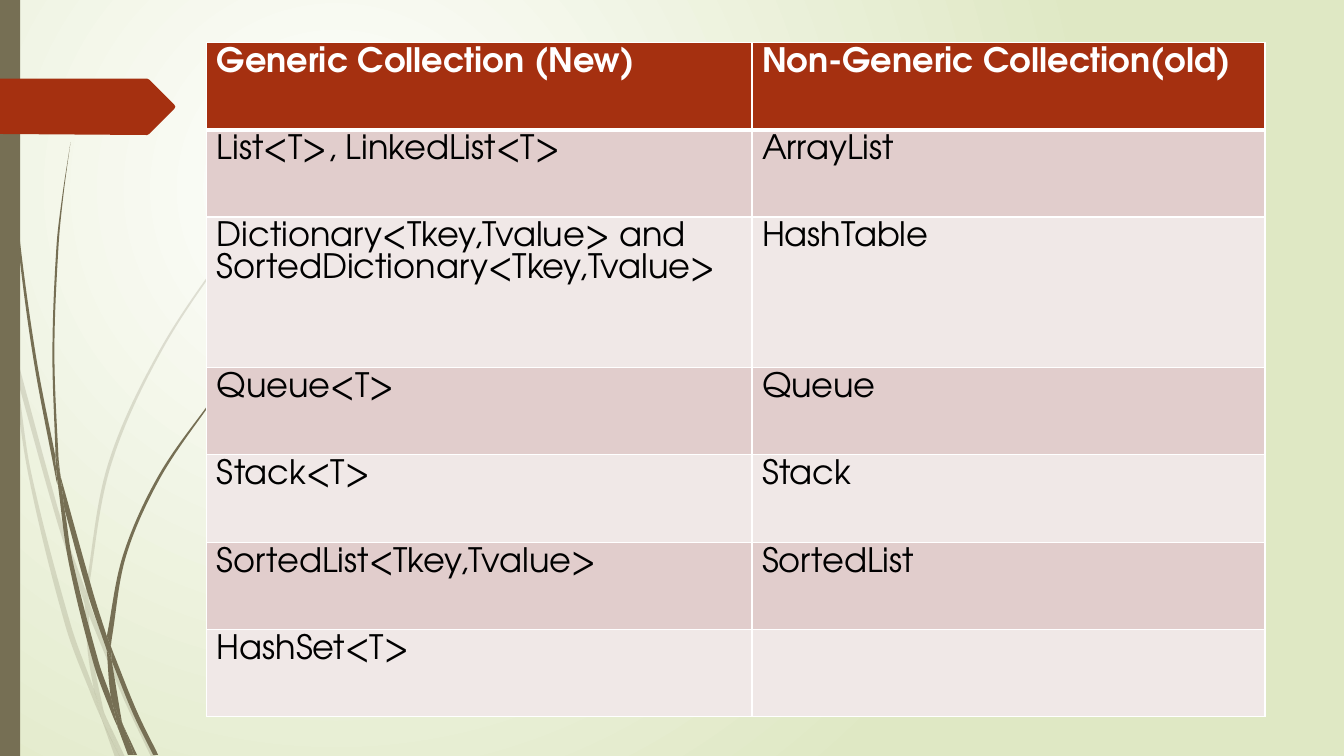
"""Build a slide comparing generic and non-generic collections."""
from math import dist

from lxml.etree import SubElement as Sub
from pptx import Presentation
from pptx.dml.color import RGBColor as Rgb
from pptx.enum.shapes import MSO_SHAPE as Kind
from pptx.oxml import parse_xml
from pptx.oxml.ns import nsdecls, qn
from pptx.util import Cm, Pt

HUE = {"white": "FFFFFF", "black": "000000", "green": "DFE8C4",
       "olive": "766F54", "rust": "A53010", "rose": "E1CDCC", "pale": "F0E8E7"}
FONT = "TeX Gyre Adventor"
UNIT = Cm(0.0254)

ROWS = [
    ("Generic Collection (New)", "Non-Generic Collection(old)"),
    ("List<T>, LinkedList<T>", "ArrayList"),
    ("Dictionary<Tkey,Tvalue> and SortedDictionary<Tkey,Tvalue>", "HashTable"),
    ("Queue<T>", "Queue"),
    ("Stack<T>", "Stack"),
    ("SortedList<Tkey,Tvalue>", "SortedList"),
    ("HashSet<T>", ""),
]
WIDTHS = (13.74, 12.93)
HEIGHTS = (2.2, 2.2, 3.79, 2.2, 2.2, 2.2, 2.2)

FAINT = [
    [[(9, 322), (0, 282)], [(0, 299)], [(10, 344), (11, 350)]],
    [[(17, 376)], [(58, 522), (84, 599)], [(85, 586)], [(62, 520), (14, 345)]],
    [[(88, 610)], [(123, 694), (150, 751)], [(155, 751)],
     [(127, 692), (92, 607), (88, 596)]],
    [[(119, 751)], [(124, 751)], [(105, 711)]],
    [[(28, 470), (65, 621), (92, 693), (101, 714)], [(99, 707), (93, 683)],
     [(70, 619), (31, 469), (17, 376), (11, 350)]],
    [[(87, 646), (93, 683), (96, 692), (105, 711)],
     [(103, 706), (91, 646), (88, 610), (88, 608)], [(84, 599)]],
    [[(289, 175), (268, 197), (228, 244), (158, 348), (107, 461), (85, 584),
      (85, 586)], [(88, 596)],
     [(88, 584), (110, 462), (160, 349), (229, 245), (268, 198), (290, 175),
      (312, 154)], [(312, 153)]],
    [[(114, 751)], [(119, 751)], [(101, 714)]],
    [[(88, 610)], [(88, 596)], [(85, 586)], [(84, 599)], [(88, 608)]],
    [[(99, 707), (101, 714), (119, 751)], [(105, 711)],
     [(96, 692), (93, 683)]],
]
DARK = [
    [[(4, 48), (7, 110), (17, 233), (33, 355), (56, 477), (57, 481)],
     [(55, 457), (55, 453)],
     [(36, 355), (19, 232), (8, 109), (5, 48), (4, 0)], [(3, 0)]],
    [[(64, 505)], [(88, 592), (106, 645)], [(106, 633), (106, 631)],
     [(93, 590), (60, 472)]],
    [[(111, 656)], [(132, 708), (152, 749)], [(157, 749)],
     [(136, 706), (113, 649), (110, 641)]],
    [[(68, 557), (93, 659), (111, 708), (117, 722)], [(116, 717), (110, 691)],
     [(98, 657), (72, 556), (64, 505), (57, 477)]],
    [[(62, 193), (56, 245), (52, 349), (55, 449)], [(60, 472)],
     [(58, 453), (54, 349), (58, 245), (63, 193), (70, 141)]],
    [[(133, 749)], [(136, 749)], [(122, 719)]],
    [[(55, 453)], [(57, 477), (64, 505)], [(60, 472)], [(55, 449)]],
    [[(245, 358), (231, 373), (204, 405), (156, 474), (122, 551), (106, 631)],
     [(110, 641)],
     [(111, 633), (125, 552), (158, 476), (205, 406), (231, 374), (245, 359),
      (261, 344)], [(260, 344)]],
    [[(127, 749)], [(131, 749)], [(117, 722)]],
    [[(110, 691), (116, 706), (122, 719)], [(121, 716), (111, 656)],
     [(109, 651), (106, 645)]],
    [[(109, 651), (111, 656)], [(110, 641)], [(106, 631)],
     [(106, 633), (106, 645)]],
    [[(116, 717), (117, 722)], [(130, 749)], [(133, 749)],
     [(122, 719), (116, 706), (110, 691)]],
]
TAG = [(0, 78), (146, 78), (148, 79), (173, 104), (174, 106), (173, 108),
       (148, 133), (146, 134), (0, 133)]


def tint(name):
    """Return a named colour."""
    return Rgb.from_string(HUE[name])


def paint(shape, name):
    """Give a shape a plain fill without line or shadow."""
    shape.shadow.inherit = False
    shape.fill.solid()
    shape.fill.fore_color.rgb = tint(name)
    shape.line.fill.background()


def smooth(edge):
    """Return two handles and an end for each curve along an edge."""
    last = len(edge) - 1
    gaps = [dist(a, b) for a, b in zip(edge, edge[1:])]

    def handle(i, reach):
        low, high = max(i - 1, 0), min(i + 1, last)
        span = sum(gaps[low:high])
        return tuple(p + reach * (b - a) / span
                     for p, a, b in zip(edge[i], edge[low], edge[high]))

    return [spot for i, gap in enumerate(gaps)
            for spot in (handle(i, gap / 3), handle(i + 1, -gap / 3),
                         edge[i + 1])]


def outline(shapes, points, name):
    """Draw a closed outline."""
    spots = [(x * UNIT, y * UNIT) for x, y in points]
    pen = shapes.build_freeform(*spots[0])
    pen.add_line_segments(spots[1:], close=True)
    shape = pen.convert_to_shape()
    paint(shape, name)
    return shape


def bend(shape):
    """Turn each three lines of an outline into one curve."""
    lines = list(shape.element.iter(qn("a:lnTo")))
    for i in range(0, len(lines) - 2, 3):
        curve = parse_xml(f'<a:cubicBezTo {nsdecls("a")}/>')
        lines[i].addprevious(curve)
        for line in lines[i:i + 3]:
            curve.append(line[0])
            line.getparent().remove(line)


def grass(slide, blades, alpha=100):
    """Draw a group of curved pieces of grass."""
    group = slide.shapes.add_group_shape()
    for sides in blades:
        points = [sides[-1][-1]]
        for side in sides:
            points += smooth([points[-1]] + side)
        shape = outline(group.shapes, points, "olive")
        bend(shape)
        if alpha < 100:
            ink = next(shape.element.spPr.iter(qn("a:srgbClr")))
            Sub(ink, qn("a:alpha"), val=str(alpha * 1000))


def backdrop(slide):
    """Fill the background with a round gradient."""
    fill = slide.background.fill
    fill.gradient()
    for stop, name in zip(fill.gradient_stops, ("white", "green")):
        stop.color.rgb = tint(name)
    grad = next(slide.element.iter(qn("a:gradFill")))
    grad.remove(grad.find(qn("a:lin")))
    path = Sub(grad, qn("a:path"), path="circle")
    Sub(path, qn("a:fillToRect"), l="50000", t="50000", r="100000", b="100000")


def border(cell, head):
    """Rule a cell in white, thicker under the header."""
    props = cell._tc.get_or_add_tcPr()
    for i, side in enumerate("LRTB"):
        width = Pt(3 if head and side == "B" else 1)
        props.insert(i, parse_xml(
            f'<a:ln{side} {nsdecls("a")} w="{width}"><a:solidFill>'
            f'<a:srgbClr val="{HUE["white"]}"/></a:solidFill></a:ln{side}>'))


def write(cell, text, head):
    """Add a run of text to a cell."""
    run = cell.text_frame.paragraphs[0].add_run()
    run.text = text
    font = run.font
    font.name, font.size, font.bold = FONT, Pt(24), head
    font.color.rgb = tint("white" if head else "black")


def grid(slide):
    """Add the table of collections."""
    table = slide.shapes.add_table(
        len(ROWS), len(WIDTHS), Cm(5.21), Cm(1.07),
        Cm(sum(WIDTHS)), Cm(sum(HEIGHTS))).table
    for col, width in zip(table.columns, WIDTHS):
        col.width = Cm(width)
    for r, (texts, height) in enumerate(zip(ROWS, HEIGHTS)):
        table.rows[r].height = Cm(height)
        for c, text in enumerate(texts):
            cell = table.cell(r, c)
            cell.fill.solid()
            name = "rust" if r == 0 else ("pale", "rose")[r % 2]
            cell.fill.fore_color.rgb = tint(name)
            border(cell, r == 0)
            if text:
                write(cell, text, r == 0)


def main():
    """Build and save the slide."""
    deck = Presentation()
    deck.slide_width, deck.slide_height = Cm(33.87), Cm(19.05)
    slide = deck.slides.add_slide(deck.slide_layouts[6])
    backdrop(slide)
    grass(slide, FAINT, 20)
    grass(slide, DARK)
    bar = slide.shapes.add_shape(Kind.RECTANGLE, 0, 0, Cm(0.51), Cm(19.05))
    paint(bar, "olive")
    outline(slide.shapes, TAG, "rust")
    grid(slide)
    deck.save("out.pptx")


if __name__ == "__main__":
    main()
